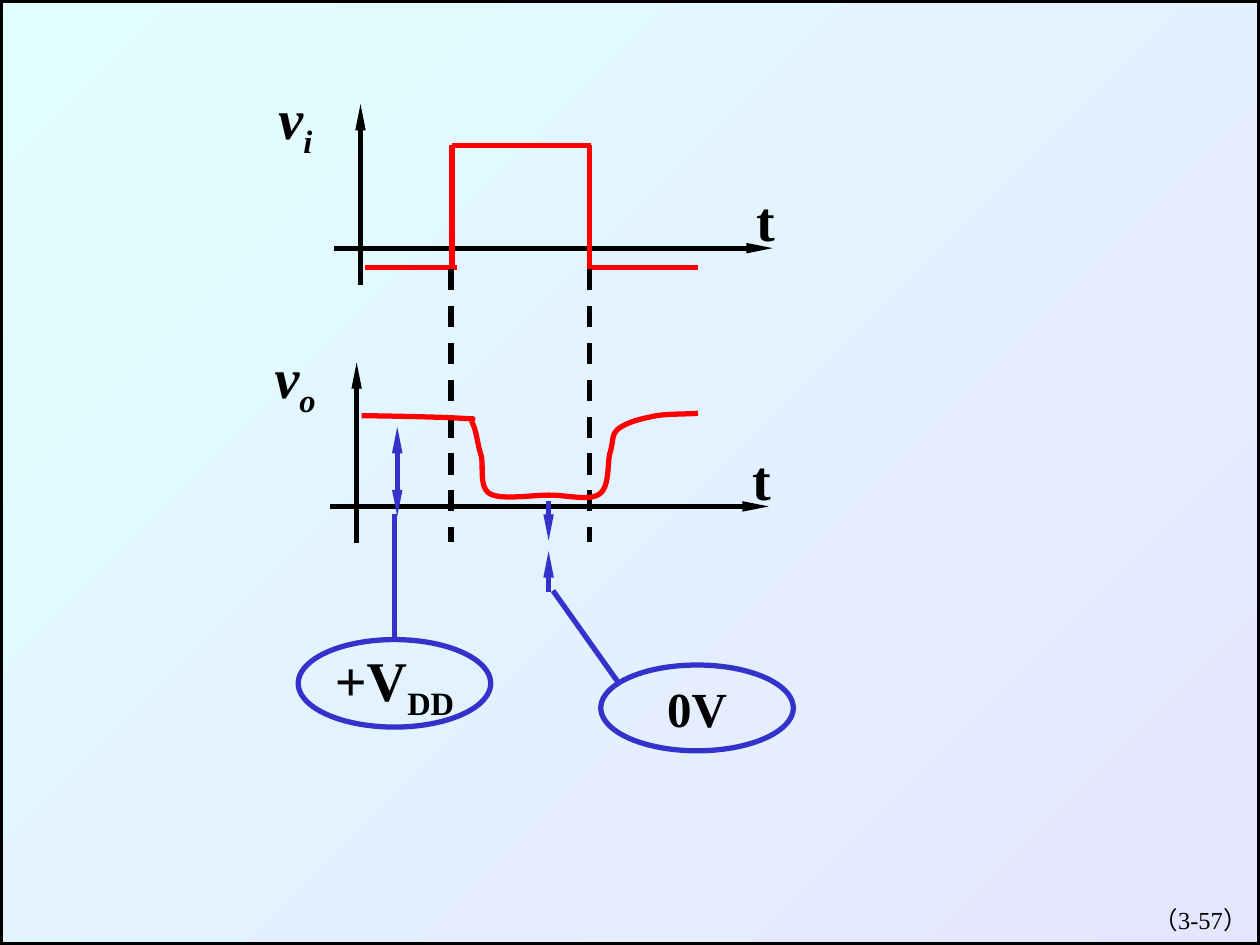
from dataclasses import dataclass

from lxml.etree import SubElement
from pptx import Presentation
from pptx.dml.color import RGBColor
from pptx.enum.dml import MSO_LINE as Dash
from pptx.enum.shapes import MSO_CONNECTOR as Conn, MSO_SHAPE as Kind
from pptx.enum.text import MSO_ANCHOR as Anchor, PP_ALIGN as Align
from pptx.oxml.ns import qn
from pptx.util import Pt

FONT = "Times New Roman"
BLACK, RED, BLUE = "000000", "FF0000", "3333CC"
WIDTH, HEIGHT = 720, 540


@dataclass
class Plot:
    x: float  # origin of the axes
    y: float
    sub: str


@dataclass
class Line:
    x1: float
    y1: float
    x2: float
    y2: float
    color: str = BLACK
    head: bool = False
    tail: bool = False
    dash: bool = False


@dataclass
class Oval:
    left: float
    top: float
    width: float
    height: float
    text: str
    sub: str
    size: float


def rgb(color: str) -> RGBColor:
    return RGBColor.from_string(color)


def pen(line, color: str) -> None:
    line.color.rgb = rgb(color)
    line.width = Pt(3)


def draw_line(item: Line):
    link = shapes.add_connector(Conn.STRAIGHT, Pt(item.x1), Pt(item.y1),
                                Pt(item.x2), Pt(item.y2))
    pen(link.line, item.color)
    if item.dash:
        link.line.dash_style = Dash.DASH
    # Narrow, long arrowheads
    ln = link.line._get_or_add_ln()
    for tag, used in (("a:headEnd", item.head), ("a:tailEnd", item.tail)):
        if used:
            SubElement(ln, qn(tag), type="triangle", w="sm", len="lg")
    SubElement(link._element.spPr, qn("a:effectLst"))
    return link


def set_text(shape, text: str, size: float, sub: str = "", bold: bool = True,
             italic: bool = False, align=Align.LEFT) -> None:
    para = shape.text_frame.paragraphs[0]
    para.text = text
    para.alignment = align
    if sub:
        low = para.add_run()
        low.text = sub
        low.font._element.set("baseline", "-25000")
    for run in para.runs:
        font = run.font
        font.name, font.size = FONT, Pt(size)
        font.bold, font.italic = bold, italic
        font.color.rgb = rgb(BLACK)


def add_box(x: float, y: float, w: float, h: float):
    box = shapes.add_textbox(Pt(x), Pt(y), Pt(w), Pt(h))
    box.text_frame.word_wrap = True
    return box


def draw_plot(plot: Plot) -> None:
    x, y = plot.x, plot.y
    draw_line(Line(x - 15, y, x + 235.5, y, tail=True))
    draw_line(Line(x, y + 21, x, y - 82.3, tail=True))
    set_text(add_box(x - 54, y - 97.5, 57, 51), "v", 32, plot.sub, italic=True)
    set_text(add_box(x + 219, y - 39.2, 75, 46), "t", 32)


def draw_oval(item: Oval):
    oval = shapes.add_shape(Kind.OVAL, Pt(item.left), Pt(item.top),
                            Pt(item.width), Pt(item.height))
    oval.shadow.inherit = False
    oval.fill.background()
    pen(oval.line, BLUE)
    oval.text_frame.word_wrap = False
    oval.text_frame.vertical_anchor = Anchor.MIDDLE
    set_text(oval, item.text, item.size, item.sub, align=Align.CENTER)
    return oval


def bezier(a, b, c, d, steps: int = 12):
    for i in range(1, steps + 1):
        t = i / steps
        s = 1 - t
        yield tuple(Pt(72 * (s**3 * p + 3 * s * s * t * q + 3 * s * t * t * r
                             + t**3 * e)) for p, q, r, e in zip(a, b, c, d))


def draw_curve(nodes, color: str) -> None:
    """Nodes in inches: a start, then two handles and an end per segment."""
    dots = [dot for i in range(0, len(nodes) - 1, 3)
            for dot in bezier(*nodes[i:i + 4])]
    x, y = nodes[0]
    form = shapes.build_freeform(Pt(72 * x), Pt(72 * y))
    form.add_line_segments(dots, close=False)
    curve = form.convert_to_shape()
    curve.shadow.inherit = False
    curve.fill.background()
    pen(curve.line, color)


deck = Presentation()
deck.slide_width, deck.slide_height = Pt(WIDTH), Pt(HEIGHT)
slide = deck.slides.add_slide(deck.slide_layouts[6])
shapes = slide.shapes

# Background frame
frame = shapes.add_shape(Kind.RECTANGLE, 0, 0, Pt(WIDTH), Pt(HEIGHT))
frame.shadow.inherit = False
frame.fill.gradient()
frame.fill.gradient_angle = 315
for stop, tint in zip(frame.fill.gradient_stops, ("E1FFFF", "E5E5FF")):
    stop.color.rgb = rgb(tint)
pen(frame.line, BLACK)

# Page number
set_text(add_box(570, 513.4, 150, 36), "（3-57）", 14, bold=False,
         align=Align.RIGHT)

# Input and output axes
for plot in (Plot(206, 141.8, "i"), Plot(203.8, 289.4, "o")):
    draw_plot(plot)

# Input pulse
RISE, FALL, LOW, HIGH = 258.3, 337, 152.7, 83.3
for ends in ((208.8, LOW, RISE + 3, LOW), (RISE, LOW + 1, RISE, HIGH - 0.5),
             (RISE, HIGH, FALL + 1, HIGH), (FALL, HIGH - 0.5, FALL, LOW + 2),
             (FALL - 1, LOW, 399, LOW)):
    draw_line(Line(*ends, RED))

# Edge guides
for x in (RISE - 0.5, FALL):
    draw_line(Line(x, 154, x, 309.8, dash=True))

# Output response
draw_curve([
    (2.87, 3.3), (3, 3.3), (3.51, 3.31), (3.66, 3.32),
    (3.81, 3.33), (3.73, 3.31), (3.75, 3.36),
    (3.78, 3.41), (3.79, 3.53), (3.82, 3.62),
    (3.84, 3.71), (3.8, 3.87), (3.89, 3.92),
    (3.98, 3.97), (4.22, 3.93), (4.36, 3.93),
    (4.51, 3.93), (4.68, 3.98), (4.76, 3.92),
    (4.84, 3.86), (4.82, 3.68), (4.84, 3.6),
    (4.87, 3.51), (4.85, 3.46), (4.9, 3.41),
    (4.96, 3.36), (5.06, 3.33), (5.16, 3.31),
    (5.27, 3.28), (5.46, 3.29), (5.54, 3.28)], RED)

# High level callout
draw_line(Line(227, 244, 227, 295, BLUE, head=True, tail=True))
stem = draw_line(Line(225.4, 293.8, 225.4, 365.5, BLUE))
high = draw_oval(Oval(170.4, 365.5, 110, 50, "+V", "DD", 32))
stem.end_connect(high, 0)

# Low level callout
draw_line(Line(313.5, 286.5, 313.5, 309, BLUE, tail=True))
draw_line(Line(313.5, 338.5, 313.5, 315, BLUE, tail=True))
draw_line(Line(316, 337.5, 354, 391, BLUE))
draw_oval(Oval(343.3, 380, 110, 49, "0V", "", 28))

deck.save("out.pptx")
